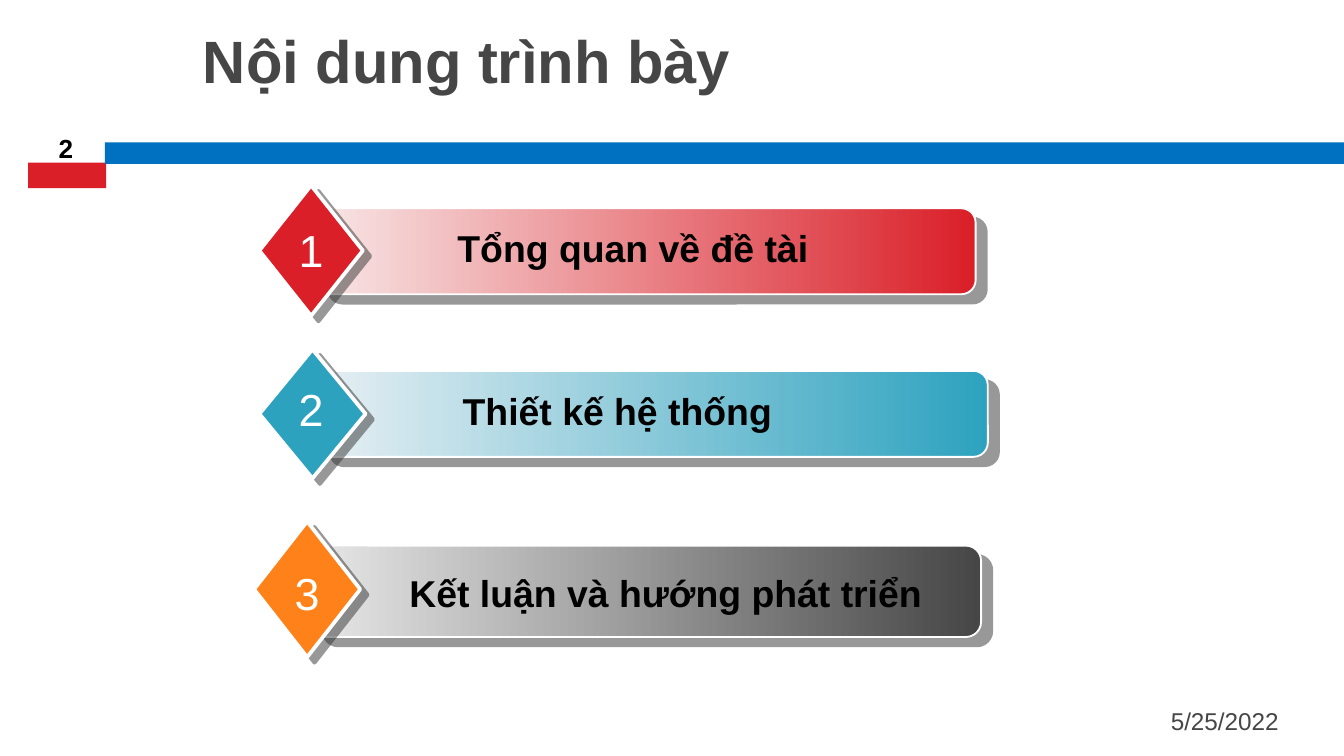
from lxml.etree import SubElement
from pptx import Presentation
from pptx.dml.color import RGBColor
from pptx.enum.shapes import MSO_SHAPE as Shape
from pptx.enum.text import MSO_ANCHOR as Anchor, PP_ALIGN as Align
from pptx.oxml.ns import qn
from pptx.util import Inches, Pt

# Content: boxes are left, top, width, height in inches
TITLE = ("Nội dung trình bày", (1.41, 0.13, 8.44, 0.89))
DATE = ("5/25/2022", (6.69, 5.21, 2.92, 0.3))
PAGE = ("2", (0.2, 0.92, 0.58, 0.35))
HEADER_BARS = [("red", (0.21, 1.21, 0.58, 0.19)), ("blue", (0.78, 1.06, 9.23, 0.16))]
AGENDA = [
    dict(text="Tổng quan về đề tài", gradient=("pale_red", "red"), diamond="red",
         bar_box=(2.36, 1.55, 4.9, 0.64), diamond_box=(1.93, 1.38, 0.77, 0.97),
         text_box=(2.62, 1.63, 4.18, 0.44), number_box=(2.07, 1.61, 0.49, 0.5)),
    dict(text="Thiết kế hệ thống", gradient=("pale_teal", "teal"), diamond="teal",
         bar_box=(2.37, 2.76, 4.98, 0.64), diamond_box=(1.93, 2.6, 0.79, 0.96),
         text_box=(2.63, 2.84, 3.93, 0.44), number_box=(2.11, 2.79, 0.41, 0.64)),
    dict(text="Kết luận và hướng phát triển", gradient=("pale_gray", "gray"), diamond="orange",
         bar_box=(2.32, 4.06, 4.98, 0.68), diamond_box=(1.89, 3.88, 0.79, 1.01),
         text_box=(2.65, 4.19, 4.61, 0.44), number_box=(2.06, 4.16, 0.45, 0.5)),
]

THEME = {
    "font": "Arial",
    "colors": dict(red="DA1F28", blue="0070C0", teal="2DA2BF", orange="FF8119",
                   gray="464646", pale_red="F8E6E6", pale_teal="E6EFF3",
                   pale_gray="E7E7E7", white="FFFFFF", black="000000", shadow="333333"),
    "text": {  # size, bold, color, alignment, anchor
        "title": (32, True, "gray", Align.LEFT, Anchor.TOP),
        "date": (13, False, "gray", Align.RIGHT, Anchor.MIDDLE),
        "page": (14, True, "black", Align.CENTER, Anchor.BOTTOM),
        "item": (20, True, "black", Align.CENTER, Anchor.TOP),
        "number": (24, False, "white", Align.CENTER, Anchor.TOP),
    },
    "bar_shadow": (7.8, 40),  # distance in points, direction in degrees
    "diamond_shadow": (5, 37),
}


def color(name):
    return RGBColor.from_string(THEME["colors"][name])


def inches(box):
    return [Inches(value) for value in box]


def write(shape, text, style):
    size, bold, color_name, alignment, anchor = THEME["text"][style]
    frame = shape.text_frame
    frame.text = text
    frame.word_wrap = True
    frame.vertical_anchor = anchor
    paragraph = frame.paragraphs[0]
    paragraph.alignment = alignment
    font = paragraph.runs[0].font
    values = {"name": THEME["font"], "size": Pt(size), "bold": bold}
    for name, value in values.items():
        setattr(font, name, value)
    font.color.rgb = color(color_name)


def add_text(shapes, text, box, style):
    write(shapes.add_textbox(*inches(box)), text, style)


def add_block(shapes, kind, box, fill, line_width=0):
    """Add a shape; a pair of fill names makes a left-to-right gradient."""
    shape = shapes.add_shape(kind, *inches(box))
    shape.shadow.inherit = False
    if isinstance(fill, tuple):
        shape.fill.gradient()
        shape.fill.gradient_angle = 0
        for stop, name in zip(shape.fill.gradient_stops, fill):
            stop.color.rgb = color(name)
    else:
        shape.fill.solid()
        shape.fill.fore_color.rgb = color(fill)
    if line_width:
        shape.line.color.rgb = color("white")
        shape.line.width = Pt(line_width)
    else:
        shape.line.fill.background()
    return shape


def add_shadow(shape, distance, direction):
    effects = shape._element.spPr.find(qn("a:effectLst"))
    shadow = SubElement(effects, qn("a:outerShdw"), blurRad="0", dist=str(Pt(distance)),
                        dir=str(direction * 60000), algn="ctr", rotWithShape="0")
    tint = SubElement(shadow, qn("a:srgbClr"), val=THEME["colors"]["shadow"])
    SubElement(tint, qn("a:alpha"), val="50000")


def add_agenda_item(slide, number, item):
    shapes = slide.shapes.add_group_shape().shapes
    bar = add_block(shapes, Shape.ROUNDED_RECTANGLE, item["bar_box"], item["gradient"], 1)
    add_shadow(bar, *THEME["bar_shadow"])
    diamond = add_block(shapes, Shape.DIAMOND, item["diamond_box"], item["diamond"], 2)
    add_shadow(diamond, *THEME["diamond_shadow"])
    add_text(shapes, item["text"], item["text_box"], "item")
    add_text(shapes, str(number), item["number_box"], "number")


def main():
    presentation = Presentation()
    presentation.slide_width = Inches(10)
    presentation.slide_height = Inches(10 * 9 / 16)  # widescreen
    slide = presentation.slides.add_slide(presentation.slide_layouts[5])

    # Header bars and title
    for fill, box in HEADER_BARS:
        add_block(slide.shapes, Shape.RECTANGLE, box, fill)
    title = slide.shapes.title
    title_text, title_box = TITLE
    for name, value in zip(("left", "top", "width", "height"), inches(title_box)):
        setattr(title, name, value)
    write(title, title_text, "title")

    # Date and page number
    add_text(slide.shapes, *DATE, "date")
    add_text(slide.shapes, *PAGE, "page")

    # Agenda
    for number, item in enumerate(AGENDA, start=1):
        add_agenda_item(slide, number, item)

    presentation.save("out.pptx")


if __name__ == "__main__":
    main()
